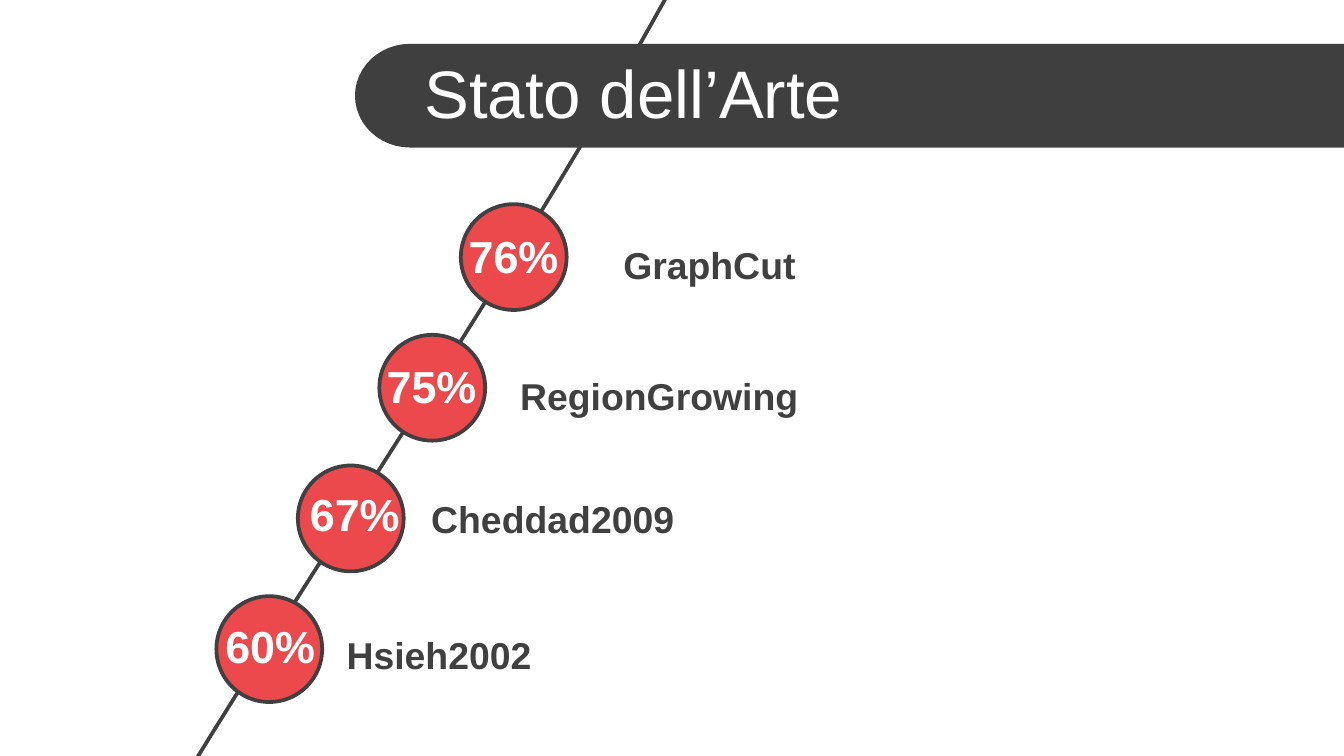
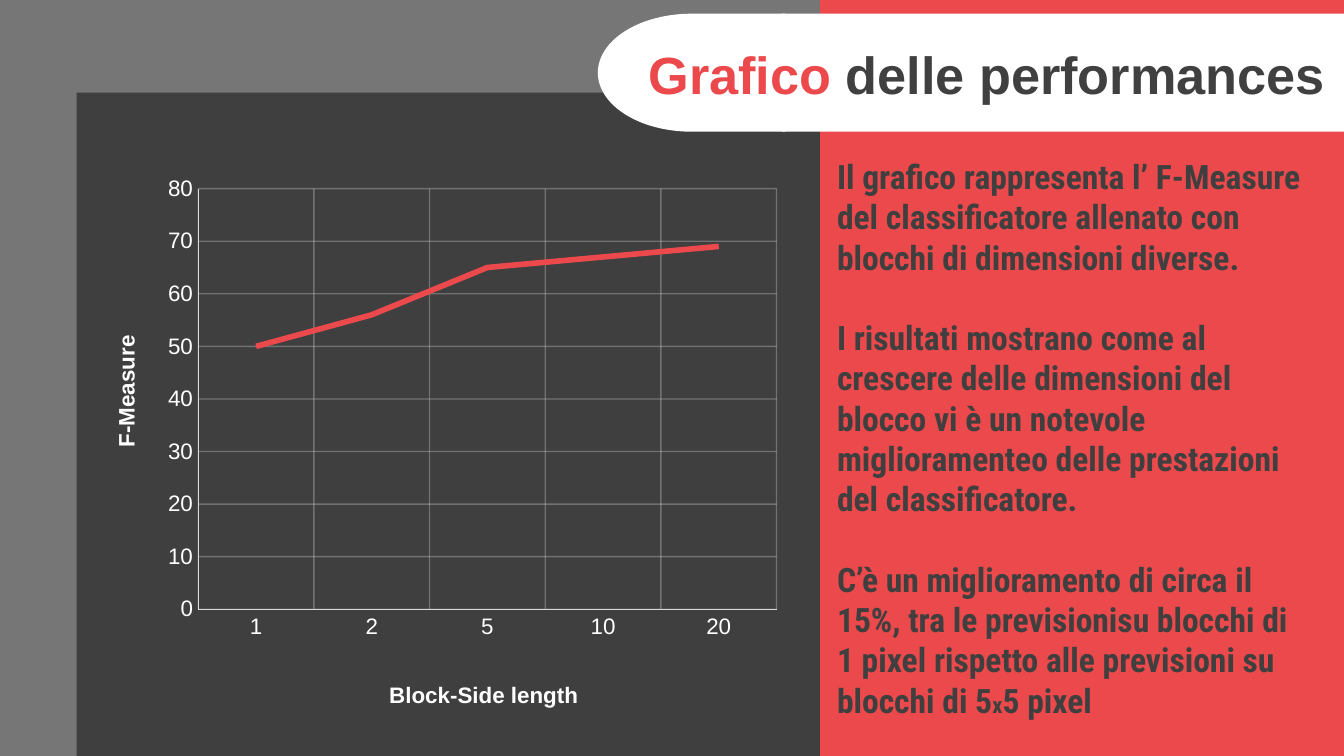
import math

import lxml.etree
import pptx
import pptx.chart.data
import pptx.dml.color
import pptx.enum.chart
import pptx.enum.shapes
import pptx.enum.text
import pptx.oxml
import pptx.oxml.ns
import pptx.util

Cm, Pt = pptx.util.Cm, pptx.util.Pt
RGB = pptx.dml.color.RGBColor.from_string
Form = pptx.enum.shapes.MSO_SHAPE
Align = pptx.enum.text.PP_ALIGN
qn = pptx.oxml.ns.qn


class Theme:
    red = RGB("EB494B")
    dark = RGB("3F3F3F")
    ink = RGB("404040")
    shade = RGB("3C3C3C")
    grid = RGB("D9D9D9")
    white = RGB("FFFFFF")
    font = "Arial"
    slim = "Roboto Condensed"
    title, head, score, label, body, axis = 36, 28, 24, 20, 18, 12


def paint(shape, fill, line=None):
    shape.shadow.inherit = False
    shape.fill.solid()
    shape.fill.fore_color.rgb = fill
    if line is None:
        shape.line.fill.background()
    else:
        shape.line.color.rgb = line
        shape.line.width = Pt(2)
    return shape


def write(slide, box, paras, font=Theme.font, bold=True, align=Align.LEFT, gap=0):
    """Each paragraph is a list of (text, size, colour) runs."""
    frame = slide.shapes.add_textbox(*map(Cm, box)).text_frame
    frame.word_wrap = True
    frame.vertical_anchor = pptx.enum.text.MSO_ANCHOR.MIDDLE
    for i, parts in enumerate(paras):
        para = frame.add_paragraph() if i else frame.paragraphs[0]
        para.alignment = align
        if i and gap:
            para.space_before = Pt(gap)
        for text, size, tint in parts:
            run = para.add_run()
            run.text = text
            run.font.name = font
            run.font.size = Pt(size)
            run.font.bold = bold
            run.font.color.rgb = tint


deck = pptx.Presentation()
deck.slide_width, deck.slide_height = Cm(25.4), Cm(14.29)
blank = deck.slide_layouts[6]

# Slide 1: state of the art
slide = deck.slides.add_slide(blank)

# White panel with a gently curved left edge
ends = [(3.66, 14.43), (6.65, 9.58), (9.88, 4.85), (12.62, -0.1)]
edge = []
for step in range(25):
    t = step / 24
    mix = [math.comb(3, k) * t**k * (1 - t) ** (3 - k) for k in range(4)]
    edge.append(tuple(Cm(sum(m * p[d] for m, p in zip(mix, ends))) for d in (0, 1)))
edge += [(Cm(25.48), Cm(-0.05)), (Cm(25.63), Cm(14.45))]
path = slide.shapes.build_freeform(*edge[0])
path.add_line_segments(edge[1:], close=True)
paint(path.convert_to_shape(), Theme.white, Theme.ink)

# Title band, round on the left
mid, high, wide = 1.81, 0.98, 1.04
bow = []
for step in range(25):
    turn = math.pi * step / 24
    bow.append((Cm(7.75 - wide * math.sin(turn)), Cm(mid + high * math.cos(turn))))
path = slide.shapes.build_freeform(Cm(25.48), Cm(mid + high))
path.add_line_segments(bow + [(Cm(25.48), Cm(mid - high))], close=True)
paint(path.convert_to_shape(), Theme.dark)
write(slide, (7.77, 0.94, 17.63, 1.6),
      [[("Stato dell’Arte", Theme.title, Theme.white)]], bold=False)

# Scores down the line: score place, label place
rows = [
    ("76%", (8.51, 4.19), "GraphCut", (11.53, 4.45)),
    ("75%", (6.96, 6.65), "RegionGrowing", (9.58, 6.91)),
    ("67%", (5.51, 9.07), "Cheddad2009", (7.9, 9.25)),
    ("60%", (3.91, 11.56), "Hsieh2002", (6.3, 11.81)),
]
for i, (score, spot, name, place) in enumerate(rows):
    disc = slide.shapes.add_shape(
        Form.OVAL, Cm(8.71 - 1.54 * i), Cm(3.86 + 2.47 * i), Cm(2), Cm(2))
    paint(disc, Theme.red, Theme.ink)
    write(slide, (*spot, 2.39, 1.27), [[(score, Theme.score, Theme.white)]],
          align=Align.CENTER)
    write(slide, (*place, 12.8, 1.12), [[(name, Theme.label, Theme.ink)]])

# Slide 2: performance chart
slide = deck.slides.add_slide(blank)
faint = []

# Backdrop, panels and title band
blocks = [
    (Form.RECTANGLE, (-0.05, 0, 25.45, 14.29), Theme.shade),
    (Form.RECTANGLE, (1.45, 1.75, 18.03, 12.54), Theme.dark),
    (Form.RECTANGLE, (15.5, 0, 9.9, 14.29), Theme.red),
    (Form.FLOWCHART_DELAY, (11.3, 0.26, 3.54, 2.23), Theme.white),
    (Form.RECTANGLE, (14.78, 0.26, 10.62, 2.23), Theme.white),
]
for form, box, fill in blocks:
    shape = paint(slide.shapes.add_shape(form, *map(Cm, box)), fill)
    if form == Form.FLOWCHART_DELAY:
        shape._element.spPr.find(qn("a:xfrm")).set("flipH", "1")
    if fill == Theme.shade:
        faint.append((shape._element.spPr, 70))

# Line chart
data = pptx.chart.data.CategoryChartData()
data.categories = ["1", "2", "5", "10", "20"]
data.add_series("Series 1", [50, 56, 65, 67, 69])
chart = slide.shapes.add_chart(
    pptx.enum.chart.XL_CHART_TYPE.LINE,
    Cm(-0.3), Cm(2.54), Cm(15.16), Cm(11.28), data).chart
chart.has_title = chart.has_legend = False
chart.font.name = Theme.font
chart.font.size = Pt(Theme.axis)
chart.font.color.rgb = Theme.white
plot = chart.plots[0]
plot.vary_by_categories = False
line = plot.series[0]
line.smooth = False
line.format.line.color.rgb = Theme.red
line.format.line.width = Pt(3)

# Axes
frames = [(chart._chartSpace.chart.plotArea,
           {"layoutTarget": "inner", "xMode": "edge", "yMode": "edge",
            "x": 0.267, "y": 0.091, "w": 0.721, "h": 0.705})]
axes = [(chart.category_axis, "Block-Side length", 0.5, 0.91),
        (chart.value_axis, "F-Measure", 0.155, 0.33)]
for axis, name, x, y in axes:
    axis.major_tick_mark = axis.minor_tick_mark = pptx.enum.chart.XL_TICK_MARK.NONE
    axis.format.line.color.rgb = Theme.grid
    axis.format.line.width = Pt(0.25)
    axis.has_major_gridlines = True
    rule = axis.major_gridlines.format.line
    rule.color.rgb = Theme.grid
    rule.width = Pt(0.75)
    faint.append((axis._element.find(qn("c:majorGridlines")), 32))
    title = axis.axis_title
    title.text_frame.text = name
    font = title.text_frame.paragraphs[0].runs[0].font
    font.name, font.size, font.bold = Theme.font, Pt(Theme.axis), True
    font.color.rgb = Theme.white
    frames.append((title._element, {"xMode": "edge", "yMode": "edge", "x": x, "y": y}))
chart.value_axis.minimum_scale = 0
chart.value_axis.maximum_scale = 80
chart.value_axis.major_unit = 10

# Fixed places for the plot and the axis titles
for host, marks in frames:
    for old in host.findall(qn("c:layout")):
        host.remove(old)
    frame = lxml.etree.Element(qn("c:layout"))
    grip = lxml.etree.SubElement(frame, qn("c:manualLayout"))
    for key, val in marks.items():
        lxml.etree.SubElement(grip, qn("c:" + key)).set("val", str(val))
    text = host.find(qn("c:tx"))
    host.insert(0 if text is None else 1, frame)

# Partly clear colours
for host, part in faint:
    tint = next(host.iter(qn("a:srgbClr")))
    lxml.etree.SubElement(tint, qn("a:alpha")).set("val", str(part * 1000))

# Comment and title
body = [
    ["Il grafico rappresenta l’ F-Measure del classificatore allenato con "
     "blocchi di dimensioni diverse."],
    ["I risultati mostrano come al crescere delle dimensioni del blocco vi è un "
     "notevole miglioramenteo delle prestazioni del classificatore."],
    ["C’è un miglioramento di circa il 15%, tra le previsionisu blocchi di 1 pixel "
     "rispetto alle previsioni su blocchi di 5", "x", "5 pixel"],
]
write(slide, (15.57, 3.53, 9.37, 9.5),
      [[(text, Theme.axis if text == "x" else Theme.body, Theme.dark)
        for text in parts] for parts in body],
      font=Theme.slim, gap=21.5)
write(slide, (12.01, 0.66, 13.36, 1.45),
      [[("Grafico ", Theme.head, Theme.red),
        ("delle performances", Theme.head, Theme.ink)]])

deck.save("out.pptx")
